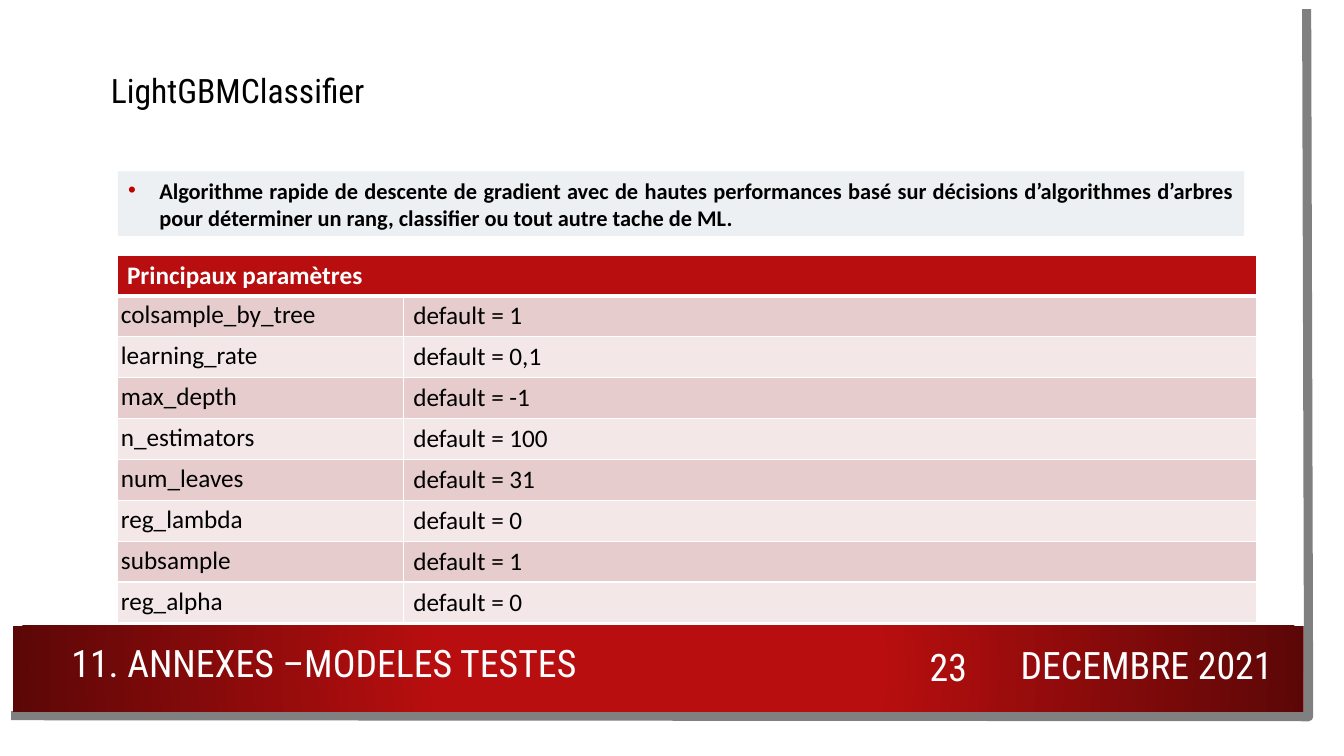
"""Build the LightGBMClassifier appendix slide with its table of parameters."""
import typing

import pptx
import pptx.dml.color
import pptx.enum.shapes
import pptx.enum.text
import pptx.oxml.ns
import pptx.util
from lxml import etree

Inches = pptx.util.Inches
Pt = pptx.util.Pt
qn = pptx.oxml.ns.qn
Align = pptx.enum.text.PP_ALIGN
Anchor = pptx.enum.text.MSO_ANCHOR

HEADING_FONT, BODY_FONT = "Roboto Condensed", "Calibri"
RED, DARK_RED, WHITE, BLACK = "B80E0F", "5C0707", "FFFFFF", "000000"
BANDS = ("E6CCCC", "F3E7E7")
ROW_HEIGHT = 0.4


class Area(typing.NamedTuple):
    left: float
    top: float
    width: float
    height: float


class Label(typing.NamedTuple):
    text: str
    area: Area
    align: Align
    spacing: float


class Parameter(typing.NamedTuple):
    name: str
    default: str


LABELS = (
    Label("23", Area(8.91, 6.36, 0.99, 0.55), Align.CENTER, 0.9),
    Label("11. ANNEXES –MODELES TESTES", Area(0.61, 6.29, 6.9, 0.62), Align.LEFT, 0.9),
    Label("DECEMBRE 2021", Area(9.78, 6.32, 2.94, 0.55), Align.RIGHT, 1.0),
)
PARAMETERS = (
    Parameter("colsample_by_tree", "1"),
    Parameter("learning_rate", "0,1"),
    Parameter("max_depth", "-1"),
    Parameter("n_estimators", "100"),
    Parameter("num_leaves", "31"),
    Parameter("reg_lambda", "0"),
    Parameter("subsample", "1"),
    Parameter("reg_alpha", "0"),
)


def color(value: str) -> pptx.dml.color.RGBColor:
    return pptx.dml.color.RGBColor.from_string(value)


def inches(area: Area) -> list:
    return [Inches(length) for length in area]


def paint(fill, value: str) -> None:
    fill.solid()
    fill.fore_color.rgb = color(value)


def write(frame, text: str, font: str, size: float, ink: str, bold: bool = False):
    frame.text = text
    para = frame.paragraphs[0]
    for span in para.runs:
        span.font.name = font
        span.font.size = Pt(size)
        span.font.bold = bold
        span.font.color.rgb = color(ink)
    return para


def add_panel(page, area: Area):
    panel = page.shapes.add_shape(pptx.enum.shapes.MSO_SHAPE.RECTANGLE, *inches(area))
    panel.shadow.inherit = False
    panel.line.fill.background()
    paint(panel.fill, WHITE)
    return panel


def add_frame(page) -> None:
    add_panel(page, Area(0.13, 0.09, 13.1, 7.27))
    corners = [(Inches(x), Inches(y)) for x, y in ((12.96, 0.09), (12.98, 7.11), (0.11, 7.1))]
    builder = page.shapes.build_freeform(*corners[0])
    builder.add_line_segments(corners[1:], close=False)
    edge = builder.convert_to_shape()
    edge.shadow.inherit = False
    edge.fill.background()
    edge.line.width = Pt(6.5)
    edge.line.color.rgb = color("808080")

    banner = add_panel(page, Area(0.13, 6.21, 12.8, 0.85))
    banner.fill.gradient()
    for stop, position, value in zip(banner.fill.gradient_stops, (0.34, 1), (RED, DARK_RED)):
        stop.position = position
        stop.color.rgb = color(value)
    gradient = banner._element.spPr.find(qn("a:gradFill"))
    gradient.remove(gradient.find(qn("a:lin")))
    circle = etree.SubElement(gradient, qn("a:path"), path="circle")
    etree.SubElement(circle, qn("a:fillToRect"), l="50000", t="50000", r="50000", b="50000")


def add_label(page, label: Label) -> None:
    box = page.shapes.add_textbox(*inches(label.area))
    box.text_frame.word_wrap = True
    box.text_frame.vertical_anchor = Anchor.MIDDLE
    para = write(box.text_frame, label.text, HEADING_FONT, 27, WHITE)
    para.alignment = label.align
    para.line_spacing = label.spacing


def place(page, box, area: Area, anchor: Anchor) -> None:
    box.left, box.top, box.width, box.height = inches(area)
    box.text_frame.auto_size = pptx.enum.text.MSO_AUTO_SIZE.NONE
    box.text_frame.vertical_anchor = anchor
    page.shapes._spTree.append(box._element)


def fill_title(page) -> None:
    title = page.shapes.title
    place(page, title, Area(1, 0.64, 9.07, 0.5), Anchor.TOP)
    para = write(title.text_frame, "LightGBMClassifier", HEADING_FONT, 24, BLACK)
    para.alignment = Align.LEFT


def fill_description(page) -> None:
    body = page.placeholders[1]
    place(page, body, Area(1.17, 1.7, 11.17, 0.64), Anchor.MIDDLE)
    paint(body.fill, "ECF0F3")
    para = write(
        body.text_frame,
        "Algorithme rapide de descente de gradient avec de hautes performances basé sur "
        "décisions d’algorithmes d’arbres pour déterminer un rang, classifier ou tout "
        "autre tache de ML.",
        BODY_FONT, 16, BLACK, True,
    )
    para.alignment = Align.JUSTIFY
    para.space_before = Pt(0)
    settings = para._p.get_or_add_pPr()
    settings.set("marL", str(Inches(0.31)))
    settings.set("indent", str(Inches(-0.31)))
    bullet_color = etree.SubElement(settings, qn("a:buClr"))
    etree.SubElement(bullet_color, qn("a:srgbClr"), val="C00000")
    etree.SubElement(settings, qn("a:buFont"), typeface="Arial")
    etree.SubElement(settings, qn("a:buChar"), char="•")


def style_cell(cell, fill: str, top: float = 1, bottom: float = 1) -> None:
    settings = cell._tc.get_or_add_tcPr()
    for side, width in (("L", 1), ("R", 1), ("T", top), ("B", bottom)):
        line = etree.SubElement(settings, qn(f"a:ln{side}"), w=str(Pt(width)))
        solid = etree.SubElement(line, qn("a:solidFill"))
        etree.SubElement(solid, qn("a:srgbClr"), val=WHITE)
    paint(cell.fill, fill)


def add_parameters(page) -> None:
    count = len(PARAMETERS) + 1
    area = Area(1.16, 2.53, 11.3, ROW_HEIGHT * count)
    table = page.shapes.add_table(count, 2, *inches(area)).table
    for column, width in zip(table.columns, (2.84, 8.46)):
        column.width = Inches(width)
    for row in table.rows:
        row.height = Inches(ROW_HEIGHT)

    header = table.cell(0, 0)
    header.merge(table.cell(0, 1))
    write(header.text_frame, "Principaux paramètres", BODY_FONT, 18, WHITE, True)
    for column in range(2):
        style_cell(table.cell(0, column), RED, bottom=3)

    for index, parameter in enumerate(PARAMETERS, 1):
        texts = (parameter.name, f"default = {parameter.default}")
        for column, text in enumerate(texts):
            cell = table.cell(index, column)
            write(cell.text_frame, text, BODY_FONT, 18, BLACK)
            style_cell(cell, BANDS[(index - 1) % 2], top=3 if index == 1 else 1)
        name = table.cell(index, 0)
        name.margin_left = name.margin_right = Inches(0.04)
        name.margin_top = name.margin_bottom = Inches(0.04)


def main() -> None:
    deck = pptx.Presentation()
    deck.slide_width, deck.slide_height = Inches(13.33), Inches(7.5)
    page = deck.slides.add_slide(deck.slide_layouts[1])
    add_frame(page)
    for label in LABELS:
        add_label(page, label)
    fill_title(page)
    fill_description(page)
    add_parameters(page)
    deck.save("out.pptx")


if __name__ == "__main__":
    main()
